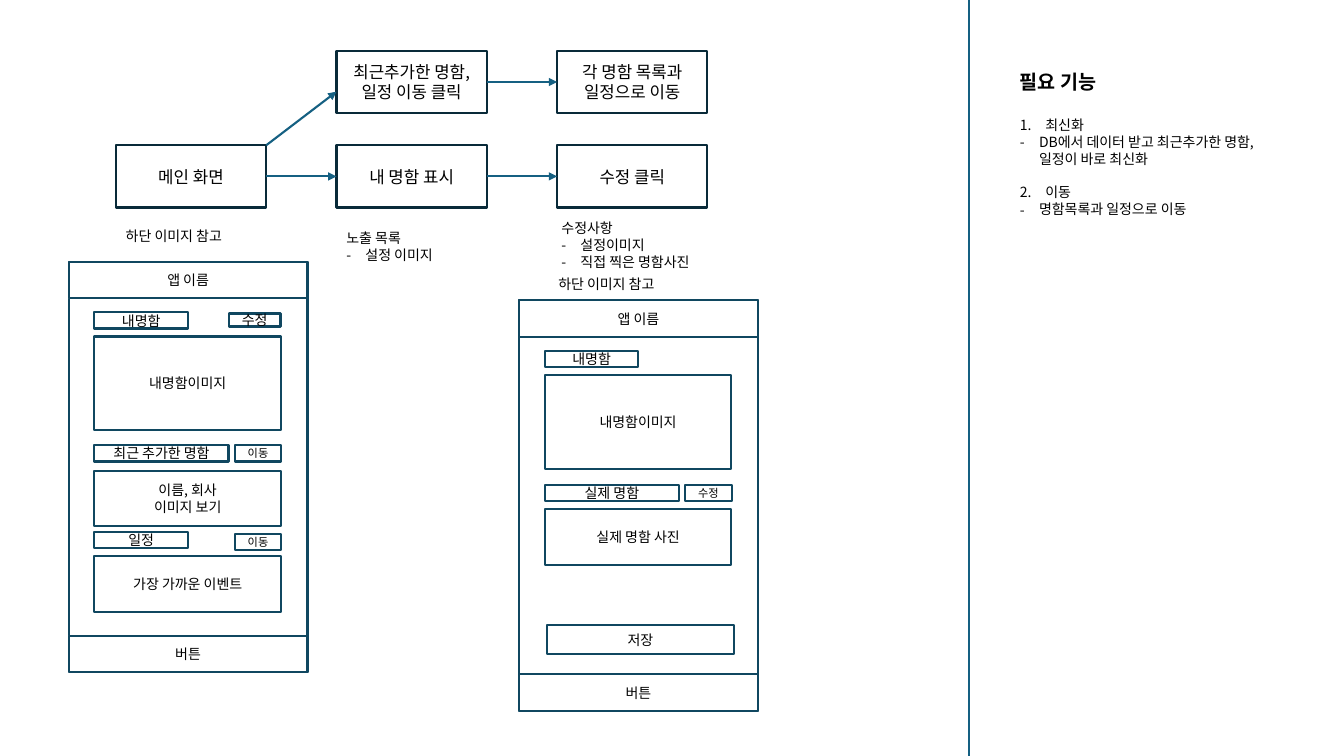
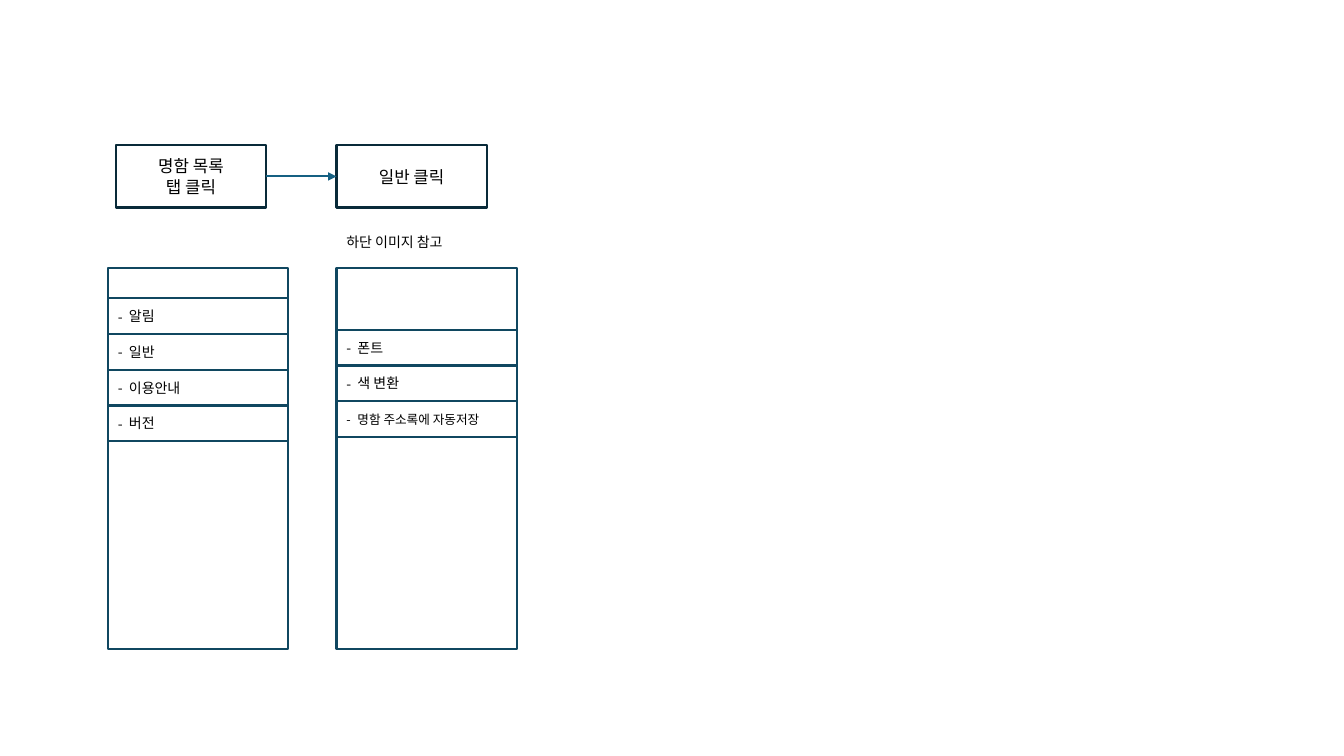
from lxml.etree import SubElement
from pptx import Presentation
from pptx.dml.color import RGBColor
from pptx.enum.shapes import MSO_CONNECTOR, MSO_SHAPE
from pptx.enum.text import MSO_ANCHOR, MSO_AUTO_SIZE, PP_ALIGN
from pptx.oxml.ns import qn
from pptx.util import Cm, Pt

FONT = "Noto Sans CJK KR"
BLACK = RGBColor(0x00, 0x00, 0x00)
WHITE = RGBColor(0xFF, 0xFF, 0xFF)
NAVY = RGBColor(0x09, 0x2A, 0x39)
TEAL = RGBColor(0x10, 0x47, 0x60)
BLUE = RGBColor(0x15, 0x60, 0x82)

WIDE, HIGH = 33.87, 19.05
STEP_W, STEP_H = 3.79, 1.57
LEFT, PITCH = 2.92, 5.56
ROW_Y, TOP_Y = 3.66, 1.28
PHONE_W, PHONE_H, BAR_H = 6.02, 10.34, 0.92
MENU_W, MENU_H, ITEM_H = 4.55, 9.6, 0.9
DASH, NUMBER, TIGHT = 0.48, 0.64, 0.28

CARD = [
    ("내명함", 0.65, 1.27, 2.36, 0.41, 10),
    ("내명함이미지", 0.65, 1.88, 4.7, 2.36, 10),
]
HOME = CARD + [
    ("수정", 4.04, 1.3, 1.3, 0.33, 10),
    ("최근 추가한 명함", 0.65, 4.62, 3.38, 0.41, 10),
    ("이동", 4.19, 4.62, 1.17, 0.41, 8),
    ("이름, 회사\n이미지 보기", 0.65, 5.26, 4.7, 1.4, 10),
    ("일정", 0.65, 6.81, 2.36, 0.41, 10),
    ("이동", 4.19, 6.86, 1.17, 0.41, 8),
    ("가장 가까운 이벤트", 0.65, 7.42, 4.7, 1.4, 10),
]
EDIT = CARD + [
    ("실제 명함", 0.65, 4.65, 3.38, 0.41, 10),
    ("수정", 4.19, 4.65, 1.17, 0.41, 8),
    ("실제 명함 사진", 0.65, 5.26, 4.7, 1.4, 10),
    ("저장", 0.71, 8.18, 4.7, 0.74, 10),
]


def style(para, size, align=PP_ALIGN.LEFT, bold=False):
    para.alignment = align
    para.space_before = Pt(0)
    font = para.font
    font.name, font.size, font.bold = FONT, Pt(size), bold
    font.color.rgb = BLACK
    SubElement(para._p.pPr.find(qn("a:defRPr")), qn("a:ea"), typeface=FONT)


def bullet(para, indent, start=None):
    props = para._p.pPr
    props.set("marL", str(Cm(indent)))
    props.set("indent", str(-Cm(indent)))
    marks = [SubElement(props, qn("a:buFont"), typeface=FONT)]
    if start:
        marks.append(SubElement(props, qn("a:buAutoNum"), type="arabicPeriod"))
        if start > 1:
            marks[-1].set("startAt", str(start))
    else:
        marks.append(SubElement(props, qn("a:buChar"), char="-"))
    for mark in marks:
        props.find(qn("a:defRPr")).addprevious(mark)


def write(frame, lines, size, align=PP_ALIGN.LEFT):
    frame.word_wrap = True
    for i, line in enumerate(lines):
        para = frame.add_paragraph() if i else frame.paragraphs[0]
        para.text = line
        style(para, size, align)
    return frame.paragraphs


def place(shape, x, y, w, h):
    shape.left, shape.top = Cm(x), Cm(y)
    shape.width, shape.height = Cm(w), Cm(h)


def box(slide, x, y, w, h, text="", size=10, edge=TEAL, fill=WHITE,
        align=PP_ALIGN.CENTER):
    rect = slide.shapes.add_shape(
        MSO_SHAPE.RECTANGLE, Cm(x), Cm(y), Cm(w), Cm(h))
    rect.shadow.inherit = False
    if fill:
        rect.fill.solid()
        rect.fill.fore_color.rgb = fill
    else:
        rect.fill.background()
    rect.line.color.rgb = edge
    rect.line.width = Pt(1.5)
    rect.text_frame.vertical_anchor = MSO_ANCHOR.MIDDLE
    if text:
        write(rect.text_frame, text.split("\n"), size, align)
    return rect


def step(slide, col, y, text):
    return box(slide, LEFT + col * PITCH, y, STEP_W, STEP_H, text, 12,
               NAVY, None)


def rule(slide, x1, y1, x2, y2, arrow=True):
    line = slide.shapes.add_connector(
        MSO_CONNECTOR.STRAIGHT, Cm(x1), Cm(y1), Cm(x2), Cm(y2))
    line.line.color.rgb = BLUE
    line.line.width = Pt(1.5)
    if arrow:
        SubElement(line.line._ln, qn("a:tailEnd"), type="triangle")
    SubElement(line._element.spPr, qn("a:effectLst"))
    return line


def chain(slide, steps):
    for start, end in zip(steps, steps[1:]):
        line = rule(slide, 0, 0, 1, 1)
        line.begin_connect(start, 3)
        line.end_connect(end, 1)


def note(slide, x, y, w, head, items=()):
    h = 0.25 + 0.43 * (1 + len(items))
    area = slide.shapes.add_textbox(Cm(x), Cm(y), Cm(w), Cm(h))
    for para in write(area.text_frame, [head, *items], 10)[1:]:
        bullet(para, DASH)


def phone(slide, x, y, parts):
    box(slide, x, y, PHONE_W, PHONE_H)
    box(slide, x, y, PHONE_W, BAR_H, "앱 이름")
    box(slide, x, y + PHONE_H - BAR_H, PHONE_W, BAR_H, "버튼")
    for text, dx, dy, w, h, size in parts:
        box(slide, x + dx, y + dy, w, h, text, size)


def menu(slide, x, y, gap, items):
    box(slide, x, y, MENU_W, MENU_H)
    for i, (text, size) in enumerate(items):
        item = box(slide, x, y + gap + i * ITEM_H, MENU_W, ITEM_H, text,
                   size, align=PP_ALIGN.LEFT)
        bullet(item.text_frame.paragraphs[0], TIGHT)


def needs(slide, x, y, w):
    title, body = slide.shapes.title, slide.placeholders[1]
    place(title, x, y, w, 0.9)
    place(body, x, y + 1.18, w, 2.9)
    for shape in (title, body):
        shape.text_frame.auto_size = MSO_AUTO_SIZE.NONE
        shape.text_frame.vertical_anchor = MSO_ANCHOR.TOP
    head = write(title.text_frame, ["필요 기능"], 14)[0]
    head.font.bold = True
    items = [
        ("최신화", 1),
        ("DB에서 데이터 받고 최근추가한 명함, 일정이 바로 최신화", None),
        ("이동", 2),
        ("명함목록과 일정으로 이동", None),
    ]
    paras = write(body.text_frame, [text for text, _ in items], 10)
    for para, (_, start) in zip(paras, items):
        bullet(para, NUMBER if start else DASH, start)
    paras[2].space_before = Pt(12)


def main_page(deck):
    slide = deck.slides.add_slide(deck.slide_layouts[1])
    needs(slide, 25.45, 1.63, 7.32)
    rule(slide, 24.43, 0, 24.43, HIGH, False)
    names = ["메인 화면", "내 명함 표시", "수정 클릭"]
    chain(slide, [step(slide, i, ROW_Y, name) for i, name in enumerate(names)])
    names = ["최근추가한 명함, 일정 이동 클릭", "각 명함 목록과 일정으로 이동"]
    chain(slide, [step(slide, i, TOP_Y, name)
                  for i, name in enumerate(names, 1)])
    rule(slide, LEFT + STEP_W, ROW_Y, LEFT + PITCH, 2.31)
    note(slide, LEFT, 5.61, 3.28, "하단 이미지 참고")
    note(slide, 8.48, 5.66, STEP_W, "노출 목록", ["설정 이미지"])
    note(slide, 13.9, 5.41, 4.17, "수정사항", ["설정이미지", "직접 찍은 명함사진"])
    note(slide, 13.82, 6.81, 3.28, "하단 이미지 참고")
    phone(slide, 1.73, 6.6, HOME)
    phone(slide, 13.08, 7.57, EDIT)


def list_page(deck):
    slide = deck.slides.add_slide(deck.slide_layouts[6])
    names = ["명함 목록\n탭 클릭", "일반 클릭"]
    chain(slide, [step(slide, i, ROW_Y, name) for i, name in enumerate(names)])
    note(slide, LEFT + PITCH, 5.76, STEP_W, "하단 이미지 참고")
    menu(slide, 2.72, 6.76, 0.76,
         [("알림", 10), ("일반", 10), ("이용안내", 10), ("버전", 10)])
    menu(slide, LEFT + PITCH, 6.76, 1.55,
         [("폰트", 10), ("색 변환", 10), ("명함 주소록에 자동저장", 9)])


def main():
    deck = Presentation()
    deck.slide_width, deck.slide_height = Cm(WIDE), Cm(HIGH)
    main_page(deck)
    list_page(deck)
    deck.save("out.pptx")


if __name__ == "__main__":
    main()
